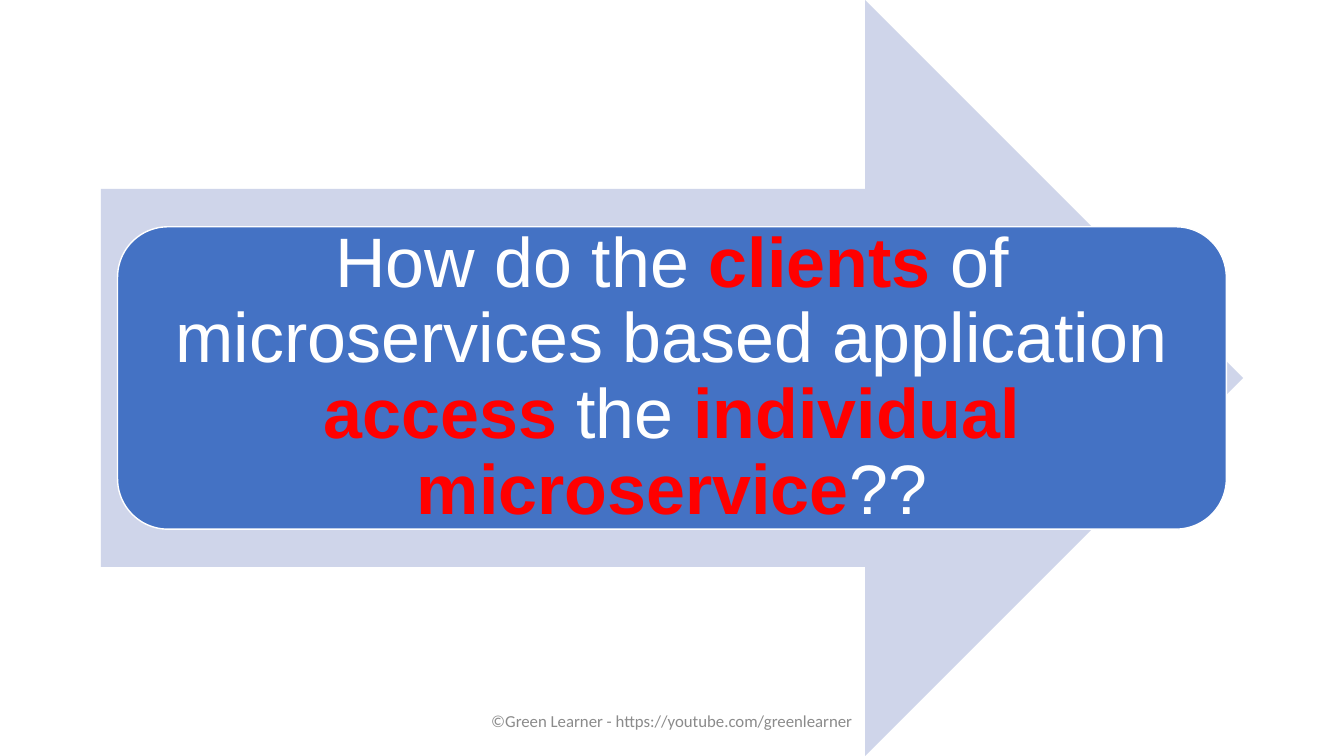
from dataclasses import dataclass

from pptx import Presentation
from pptx.dml.color import RGBColor
from pptx.enum.shapes import MSO_SHAPE as Preset
from pptx.enum.text import MSO_ANCHOR as Anchor, PP_ALIGN as Align
from pptx.shapes.autoshape import Shape
from pptx.slide import Slide
from pptx.text.text import TextFrame
from pptx.util import Pt

ARROW_FILL = "CFD5EA"
PANEL_FILL = "4472C4"
WHITE = "FFFFFF"
RED = "FF0000"
GREY = "8B8B8B"


@dataclass(frozen=True)
class Box:
    left: float
    top: float
    width: float
    height: float

    def lengths(self) -> tuple[Pt, Pt, Pt, Pt]:
        return Pt(self.left), Pt(self.top), Pt(self.width), Pt(self.height)


@dataclass(frozen=True)
class Phrase:
    text: str
    stressed: bool = False


QUESTION = [
    Phrase("How do the "),
    Phrase("clients", stressed=True),
    Phrase(" of microservices based application "),
    Phrase("access", stressed=True),
    Phrase(" the "),
    Phrase("individual microservice", stressed=True),
    Phrase("??"),
]


def color(value: str) -> RGBColor:
    return RGBColor.from_string(value)


def add_preset(slide: Slide, preset: Preset, box: Box, fill: str,
               line: str | None = None) -> Shape:
    shape = slide.shapes.add_shape(preset, *box.lengths())
    shape.shadow.inherit = False
    shape.fill.solid()
    shape.fill.fore_color.rgb = color(fill)
    if line:
        shape.line.color.rgb = color(line)
        shape.line.width = Pt(1)
    else:
        shape.line.fill.background()
    return shape


def write_centred(frame: TextFrame, phrases: list[Phrase], *, font: str, size: float,
                  fill: str, stress_fill: str = RED, side_inset: float = 7.2,
                  end_inset: float = 3.6, line_spacing: float = 1.0) -> None:
    frame.word_wrap = True
    frame.vertical_anchor = Anchor.MIDDLE
    frame.margin_left = frame.margin_right = Pt(side_inset)
    frame.margin_top = frame.margin_bottom = Pt(end_inset)
    paragraph = frame.paragraphs[0]
    paragraph.alignment = Align.CENTER
    paragraph.line_spacing = line_spacing
    for phrase in phrases:
        run = paragraph.add_run()
        run.text = phrase.text
        run.font.name = font
        run.font.size = Pt(size)
        run.font.bold = phrase.stressed
        run.font.color.rgb = color(stress_fill if phrase.stressed else fill)


def main() -> None:
    presentation = Presentation()
    presentation.slide_width, presentation.slide_height = Pt(960), Pt(540)
    slide = presentation.slides.add_slide(presentation.slide_layouts[6])

    add_preset(slide, Preset.RIGHT_ARROW, Box(72, 0, 816, 540), ARROW_FILL)
    panel = add_preset(slide, Preset.ROUNDED_RECTANGLE, Box(84, 162, 792, 216),
                       PANEL_FILL, line=WHITE)
    write_centred(panel.text_frame, QUESTION, font="Arial", size=50, fill=WHITE,
                  side_inset=15, end_inset=15, line_spacing=0.9)

    footer = slide.shapes.add_textbox(*Box(318, 500.5, 324, 28.75).lengths())
    write_centred(footer.text_frame,
                  [Phrase("©Green Learner - https://youtube.com/greenlearner")],
                  font="Calibri", size=12, fill=GREY)

    presentation.save("out.pptx")


if __name__ == "__main__":
    main()
